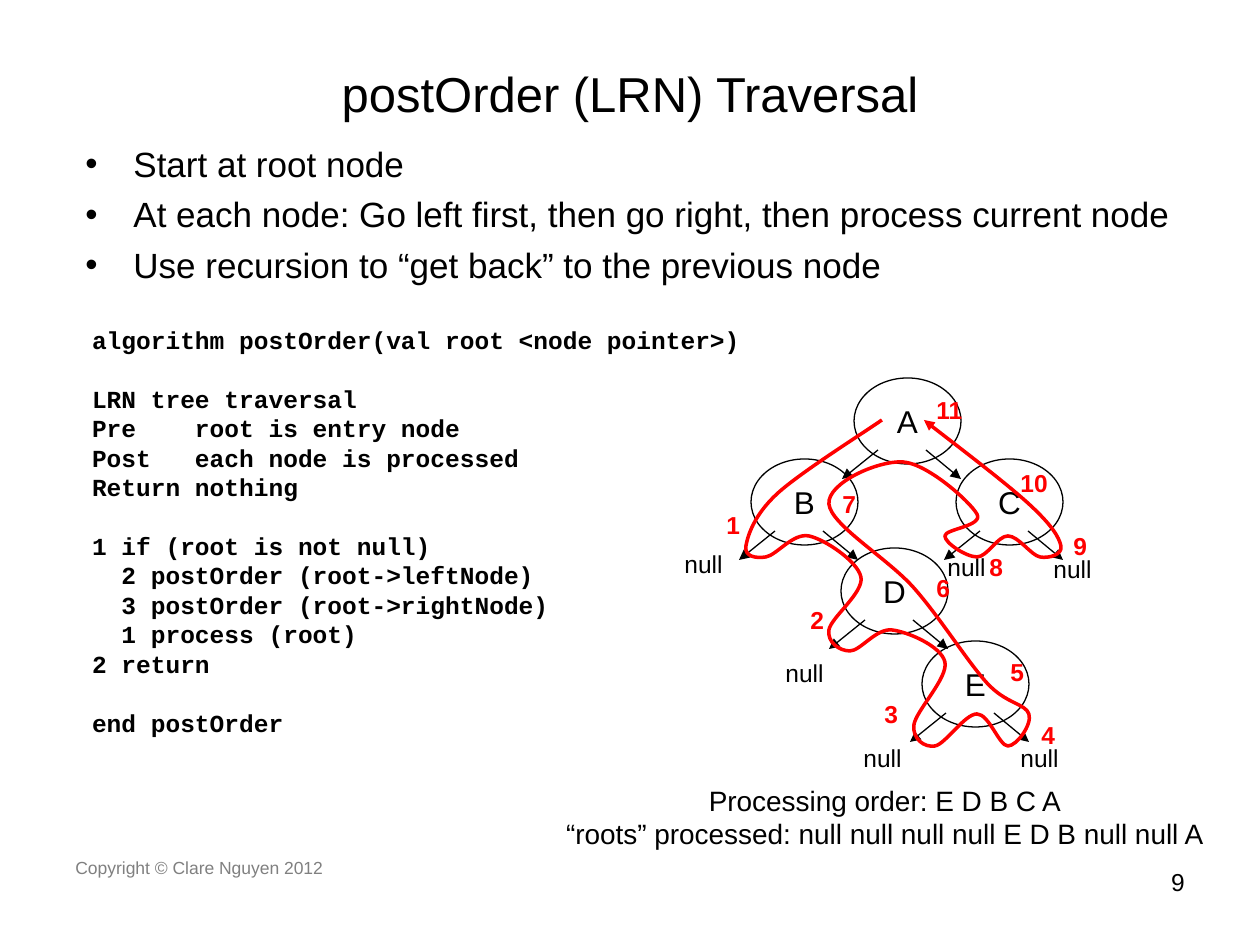
from dataclasses import dataclass

from lxml import etree
from pptx import Presentation
from pptx.dml.color import RGBColor
from pptx.enum.shapes import MSO_CONNECTOR, MSO_SHAPE
from pptx.enum.text import MSO_ANCHOR, PP_ALIGN
from pptx.oxml.ns import qn
from pptx.util import Pt

LEFT, CENTER, RIGHT = PP_ALIGN.LEFT, PP_ALIGN.CENTER, PP_ALIGN.RIGHT
TOP, MIDDLE = MSO_ANCHOR.TOP, MSO_ANCHOR.MIDDLE
ELLIPSE, STRAIGHT = MSO_SHAPE.OVAL, MSO_CONNECTOR.STRAIGHT

# Content; all lengths are px, 126 to the inch
TITLE = "postOrder (LRN) Traversal"
BULLETS = [
    "Start at root node",
    "At each node: Go left first, then go right, then process current node",
    "Use recursion to “get back” to the previous node",
]
CODE_BLOCKS = [
    ["algorithm postOrder(val root <node pointer>)"],
    [
        "LRN tree traversal",
        "Pre    root is entry node",
        "Post   each node is processed",
        "Return nothing",
    ],
    [
        "1 if (root is not null)",
        "  2 postOrder (root->leftNode)",
        "  3 postOrder (root->rightNode)",
        "  1 process (root)",
        "2 return",
    ],
    ["end postOrder"],
]
RESULT = [
    "Processing order: E D B C A",
    "“roots” processed: null null null null E D B null null A",
]
COPYRIGHT = "Copyright © Clare Nguyen 2012"
PAGE_NUMBER = "9"

NODES = [("D", 841, 548), ("E", 922, 641), ("B", 751, 459), ("A", 854, 378), ("C", 956, 459)]
NULLS = [(672, 543), (1041, 548), (773, 652), (851, 737), (1008, 737), (935, 546)]
STEPS = [
    ("1", 714, 504), ("2", 798, 599), ("3", 872, 693), ("4", 1029, 714),
    ("5", 998, 651), ("6", 924, 567), ("7", 830, 483), ("8", 977, 546),
    ("9", 1061, 525), ("10", 1008, 462), ("11", 924, 389),
]
ROUTE = [
    (882, 420), (777, 494), (746, 546), (766, 557), (809, 536), (861, 577),
    (829, 630), (850, 651), (892, 630), (945, 662), (914, 725), (935, 746),
    (977, 714), (1008, 746), (1029, 714), (987, 683), (914, 588), (829, 504),
    (903, 462), (977, 514), (945, 536), (977, 557), (1008, 536), (1040, 557),
    (1061, 546), (1029, 504), (924, 420),
]

NODE_WIDTH, NODE_HEIGHT = 107, 86
# Child arrows, measured from a node's top left corner: start, end
CHILD_ARROWS = [((72, 72), (107, 101)), ((24, 72), (-12, 101))]


@dataclass(frozen=True)
class Theme:
    black: RGBColor = RGBColor(0, 0, 0)
    red: RGBColor = RGBColor(255, 0, 0)
    grey: RGBColor = RGBColor(128, 128, 128)
    sans: str = "Arial"
    mono: str = "Courier New"
    title: int = 28
    body: int = 20
    node: int = 18
    result: int = 16
    small: int = 14
    footer: int = 10
    code_line: float = 16.8
    thin: float = 0.75
    route: float = 2


THEME = Theme()
SCALE = 914400 / 126


def emu(*lengths):
    return [round(length * SCALE) for length in lengths]


def apply_format(target, values):
    for name, value in values.items():
        setattr(target, name, value)


def write(shape, lines, size, color=THEME.black, font=THEME.sans, bold=False,
          align=LEFT, anchor=TOP, wrap=True):
    frame = shape.text_frame
    apply_format(frame, {"word_wrap": wrap, "vertical_anchor": anchor})
    for index, line in enumerate(lines):
        para = frame.paragraphs[0] if index == 0 else frame.add_paragraph()
        para.alignment = align
        span = para.add_run()
        span.text = line
        apply_format(span.font, {"name": font, "size": Pt(size), "bold": bold})
        span.font.color.rgb = color
    return frame


def add_text(page, area, lines, size, **style):
    return write(page.shapes.add_textbox(*emu(*area)), lines, size, **style)


def style_line(shape, color, width, arrow=False):
    shape.line.color.rgb = color
    shape.line.width = Pt(width)
    if arrow:
        etree.SubElement(shape.line._get_or_add_ln(), qn("a:tailEnd"), type="triangle")


def add_arrow(page, start, end):
    arrow = page.shapes.add_connector(STRAIGHT, *emu(*start, *end))
    style_line(arrow, THEME.black, THEME.thin, arrow=True)
    etree.SubElement(arrow._element.spPr, qn("a:effectLst"))


def add_node(page, label, left, top):
    node = page.shapes.add_shape(ELLIPSE, *emu(left, top, NODE_WIDTH, NODE_HEIGHT))
    node.shadow.inherit = False
    node.fill.background()
    style_line(node, THEME.black, THEME.thin)
    write(node, [label], THEME.node, align=CENTER, anchor=MIDDLE, wrap=False)
    for start, end in CHILD_ARROWS:
        add_arrow(page, *[(left + x, top + y) for x, y in (start, end)])


def add_route(page, knots):
    points = [emu(*knot) for knot in knots]
    builder = page.shapes.build_freeform(*points[0], scale=1.0)
    builder.add_line_segments(points[1:], close=False)
    route = builder.convert_to_shape()
    route.shadow.inherit = False
    route.fill.background()
    style_line(route, THEME.red, THEME.route, arrow=True)

    # Smooth curve: each tangent is parallel to the chord between neighbours
    padded = [points[0], *points, points[-1]]
    segments = list(route._element.iter(qn("a:lnTo")))
    for segment, before, start, end, after in zip(
            segments, padded, padded[1:], padded[2:], padded[3:]):
        first = [s + (e - b) / 6 for b, s, e in zip(before, start, end)]
        second = [e - (a - s) / 6 for s, e, a in zip(start, end, after)]
        curve = etree.Element(qn("a:cubicBezTo"))
        for x, y in (first, second, end):
            etree.SubElement(curve, qn("a:pt"), x=str(round(x - route.left)),
                             y=str(round(y - route.top)))
        segment.getparent().replace(segment, curve)


def add_bullets(page):
    frame = add_text(page, (73, 136, 1134, 168), BULLETS, THEME.body)
    for index, para in enumerate(frame.paragraphs):
        indent = emu(48)[0]
        properties = para._p.get_or_add_pPr()
        properties.set("marL", str(indent))
        properties.set("indent", str(-indent))
        etree.SubElement(properties, qn("a:buFont"), typeface=THEME.sans)
        etree.SubElement(properties, qn("a:buChar"), char="•")
        if index:
            para.space_before = Pt(5)


def add_code(page):
    lines = [line for block in CODE_BLOCKS for line in block]
    block_starts = {block[0] for block in CODE_BLOCKS[1:]}
    frame = add_text(page, (92, 315, 649, 422), lines, THEME.small,
                     font=THEME.mono, bold=True, anchor=MIDDLE, wrap=False)
    apply_format(frame, {"margin_left": 0, "margin_right": 0,
                         "margin_top": emu(10)[0], "margin_bottom": 0})
    for para in frame.paragraphs:
        para.line_spacing = Pt(THEME.code_line)
        if para.text in block_starts:
            para.space_before = Pt(THEME.code_line)


def main():
    deck = Presentation()
    deck.slide_width, deck.slide_height = emu(1260, 945)
    page = deck.slides.add_slide(deck.slide_layouts[6])

    # Footer, title and text
    add_text(page, (63, 851, 399, 66), [COPYRIGHT], THEME.footer, color=THEME.grey)
    add_text(page, (903, 861, 294, 66), [PAGE_NUMBER], THEME.small, align=RIGHT)
    add_text(page, (63, 38, 1134, 110), [TITLE], THEME.title, align=CENTER, anchor=MIDDLE)
    add_bullets(page)
    add_code(page)

    # Tree with its labels and the route around it
    for node in NODES:
        add_node(page, *node)
    for left, top in NULLS:
        add_text(page, (left, top, 72, 43), ["null"], THEME.small)
    for step, left, top in STEPS:
        add_text(page, (left, top, 26 + 16 * len(step), 43), [step], THEME.small,
                 color=THEME.red, bold=True)
    add_text(page, (553, 777, 664, 81), RESULT, THEME.result, align=CENTER, wrap=False)
    add_route(page, ROUTE)

    deck.save("out.pptx")


if __name__ == "__main__":
    main()
